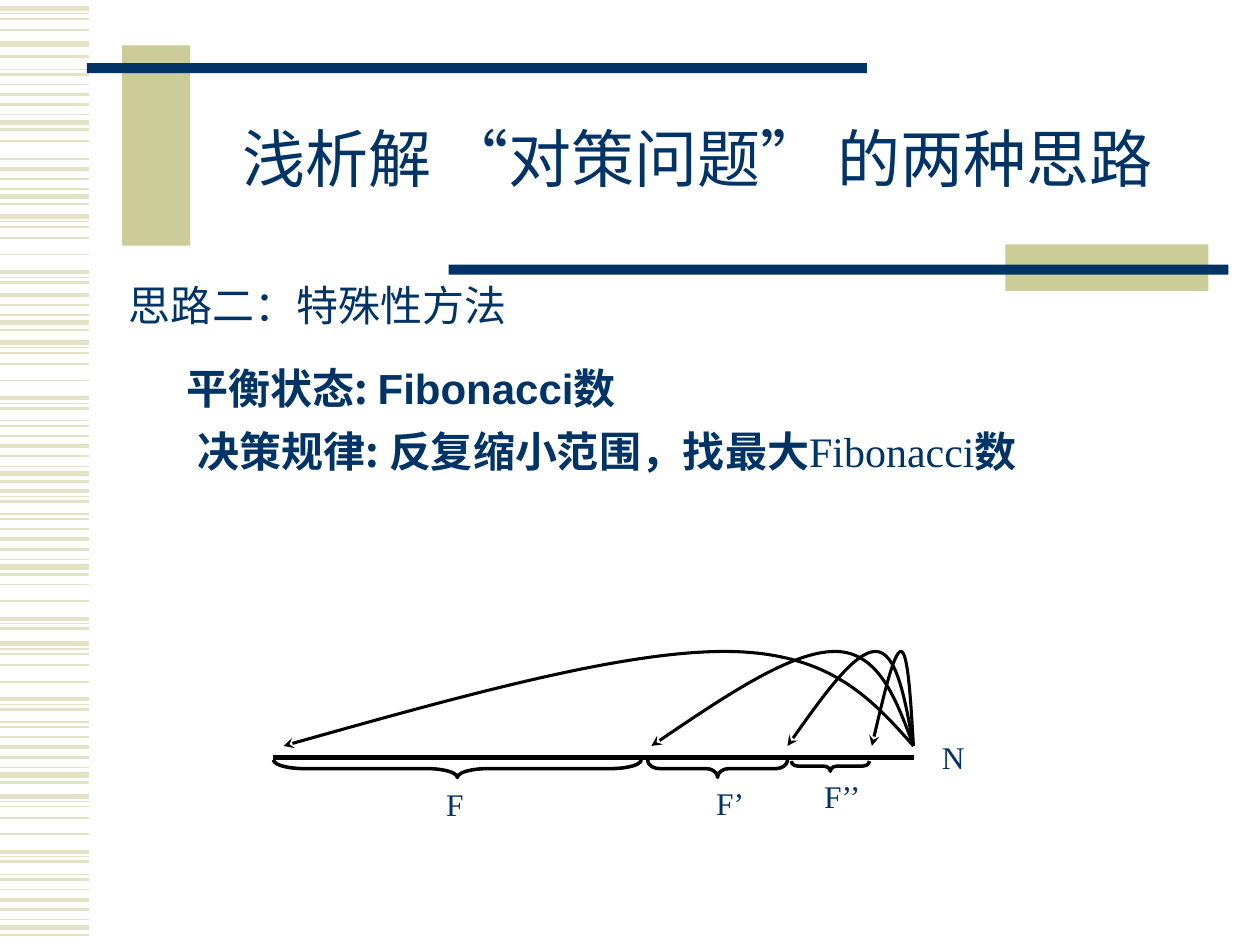
from collections import namedtuple
from dataclasses import dataclass

from lxml.etree import SubElement
from pptx import Presentation
from pptx.dml.color import RGBColor as RGB
from pptx.enum.shapes import MSO_CONNECTOR as Conn, MSO_SHAPE as Shape
from pptx.enum.text import MSO_ANCHOR as Anchor, PP_ALIGN as Align
from pptx.oxml.ns import qn
from pptx.util import Inches, Pt

Box = namedtuple("Box", "x y w h")


@dataclass(frozen=True)
class Theme:
    navy: RGB = RGB(0x00, 0x33, 0x66)
    sand: RGB = RGB(0xCC, 0xCC, 0x99)
    pale: RGB = RGB(0xE3, 0xE2, 0xC7)
    ink: RGB = RGB(0, 0, 0)
    serif: str = "Times New Roman"
    sans: str = "Arial"
    han: str = "Noto Sans CJK SC"
    title: int = 36
    body: int = 24
    label: int = 18


T = Theme()

# Stripe motif: offset from its top, line weight
MOTIF = [(0, 3), (0.04, 0.75), (0.08, 1), (0.17, 1), (0.3, 1), (0.44, 2.25),
         (0.48, 0.75), (0.52, 1.5), (0.62, 0.75), (0.66, 1.5), (0.74, 1),
         (0.82, 2.25), (0.9, 1.5), (0.98, 0.75), (1.04, 3), (1.1, 1.5)]
# Each use of the motif: its top, first stripe, stripe to stop before
BANDS = [(-0.07, 7, 16), (0.07, 0, 4), (0.35, 0, 1), (0.52, 10, 16),
         (0.82, 4, 5), (1.52, 11, 16), (1.72, 0, 8), (2.72, 0, 16),
         (3.46, 5, 16), (4.47, 3, 8), (5.11, 0, 16), (6.32, 0, 16)]


def inch(*nums):
    return [Inches(n) for n in nums]


def write(frame, runs, size=T.body, font=T.serif, bold=False, align=Align.LEFT,
          indent=0, lead=None, anchor=Anchor.TOP):
    """Fill a frame with one paragraph; a run is (text, own format)."""
    frame.word_wrap = True
    frame.vertical_anchor = anchor
    frame.margin_left, frame.margin_right = inch(0.1 + indent, 0.1)
    frame.margin_top = frame.margin_bottom = Inches(0.05)
    para = frame.paragraphs[0]
    para.alignment = align
    para.space_before = Pt(0)
    if lead:
        para.line_spacing = lead
    for text, own in runs:
        run = para.add_run()
        run.text = text
        face = run.font
        face.size = Pt(size)
        face.name = own.get("font", font)
        face.bold = own.get("bold", bold)
        face.color.rgb = T.navy
        SubElement(face._element, qn("a:ea"), typeface=T.han)


def add_text(slide, box, runs, **form):
    write(slide.shapes.add_textbox(*inch(*box)).text_frame, runs, **form)


def add_line(slide, x, y, end, color, weight):
    line = slide.shapes.add_connector(Conn.STRAIGHT, *inch(x, y, end, y))
    line.line.color.rgb = color
    line.line.width = Pt(weight)
    SubElement(line._element.spPr, qn("a:effectLst"))


def add_bar(slide, box, color):
    bar = slide.shapes.add_shape(Shape.RECTANGLE, *inch(*box))
    bar.shadow.inherit = False
    bar.fill.solid()
    bar.fill.fore_color.rgb = color
    bar.line.fill.background()


def outline(shape, weight):
    shape.shadow.inherit = False
    shape.fill.background()
    shape.line.color.rgb = T.ink
    shape.line.width = Pt(weight)


def add_brace(slide, box):
    """Brace that spans the box and points down."""
    left = box.x + (box.w - box.h) / 2
    top = box.y + (box.h - box.w) / 2
    brace = slide.shapes.add_shape(Shape.LEFT_BRACE,
                                   *inch(left, top, box.h, box.w))
    brace.rotation = 270
    brace.adjustments[0] = box.w / 12 / box.h
    outline(brace, 2)


def add_hop(slide, box):
    """Curved arrow from the lower right corner to the lower left one."""
    steps = [(14, 0.5), (13, 0), (10.5, 0), (8, 0), (4, 0.5), (0, 1)]
    spots = [inch(box.x + box.w * a / 15, box.y + box.h * b) for a, b in steps]
    pen = slide.shapes.build_freeform(*inch(box.x + box.w, box.y + box.h))
    pen.add_line_segments(spots, close=False)
    hop = pen.convert_to_shape()
    lines = list(hop._element.iter(qn("a:lnTo")))
    track = lines[0].getparent()
    for i in range(0, len(lines), 3):
        curve = SubElement(track, qn("a:cubicBezTo"))
        for line in lines[i:i + 3]:
            curve.append(line[0])
            track.remove(line)
    outline(hop, 1.75)
    SubElement(hop.line._get_or_add_ln(), qn("a:tailEnd"), type="stealth")


def stripes(slide, box):
    for top, first, stop in BANDS:
        for off, weight in MOTIF[first:stop]:
            add_line(slide, box.x, box.y + top + off, box.x + box.w,
                     T.pale, weight)


def header(slide, box):
    x, y, w, h = box
    add_bar(slide, Box(x + 0.28, y, 0.54, 1.59), T.sand)
    add_bar(slide, Box(x, y + 0.14, 6.19, 0.08), T.navy)
    add_bar(slide, Box(x + w - 1.77, y + h - 0.37, 1.61, 0.37), T.sand)
    add_bar(slide, Box(x + w - 6.19, y + h - 0.21, 6.19, 0.08), T.navy)
    title = slide.shapes.title
    title.left, title.top, title.width, title.height = inch(
        x + 0.81, y + 0.31, 8.07, 1.25)
    write(title.text_frame, [("浅析解 “对策问题” 的两种思路", {})],
          size=T.title, align=Align.CENTER, lead=0.85, anchor=Anchor.MIDDLE)


def points(slide, box):
    x, y, w, h = box
    add_text(slide, Box(x, y, 6.42, 0.5), [("思路二：特殊性方法", {})])
    add_text(slide, Box(x + 0.16, y + 0.66, w - 0.16, 0.5),
             [("平衡状态: ", {}), ("Fibonacci", {"font": T.sans}), ("数", {})],
             font=T.han, bold=True, indent=0.3)
    add_text(slide, Box(x + 0.33, y + h - 0.5, w - 0.33, 0.5),
             [("决策规律: 反复缩小范围，找最大", {}),
              ("Fibonacci", {"font": T.serif, "bold": False}), ("数", {})],
             font=T.han, bold=True, indent=0.22)


def diagram(slide, box):
    x, y, w, h = box
    add_line(slide, x, y + 0.84, x + w, T.ink, 2.75)
    for start in (0.08, 3, 4.08, 4.75):
        add_hop(slide, Box(x + start, y, w - start, 0.75))
    # Brace left, top, length, depth; then label left, top, width
    parts = [("F", (0, 0.86, 2.92, 0.14), (1.15, 1.01, 0.58)),
             ("F’", (2.97, 0.86, 1.11, 0.14), (3.25, 1, 0.75)),
             ("F’’", (4.11, 0.87, 0.62, 0.08), (4.14, 0.95, 0.75)),
             ("N", None, (5.02, 0.64, 0.75))]
    for text, span, (left, top, wide) in parts:
        if span:
            add_brace(slide, Box(x + span[0], y + span[1], *span[2:]))
        add_text(slide, Box(x + left, y + top, wide, 0.4), [(text, {})],
                 size=T.label, align=Align.CENTER)


def main():
    prs = Presentation()
    prs.slide_width, prs.slide_height = inch(10, 7.5)
    slide = prs.slides.add_slide(prs.slide_layouts[5])
    stripes(slide, Box(0, 0, 0.71, 7.5))
    header(slide, Box(0.69, 0.36, 9.06, 1.95))
    points(slide, Box(0.92, 2.17, 8.08, 1.66))
    diagram(slide, Box(2.17, 5.17, 5.08, 1.41))
    prs.save("out.pptx")


if __name__ == "__main__":
    main()
